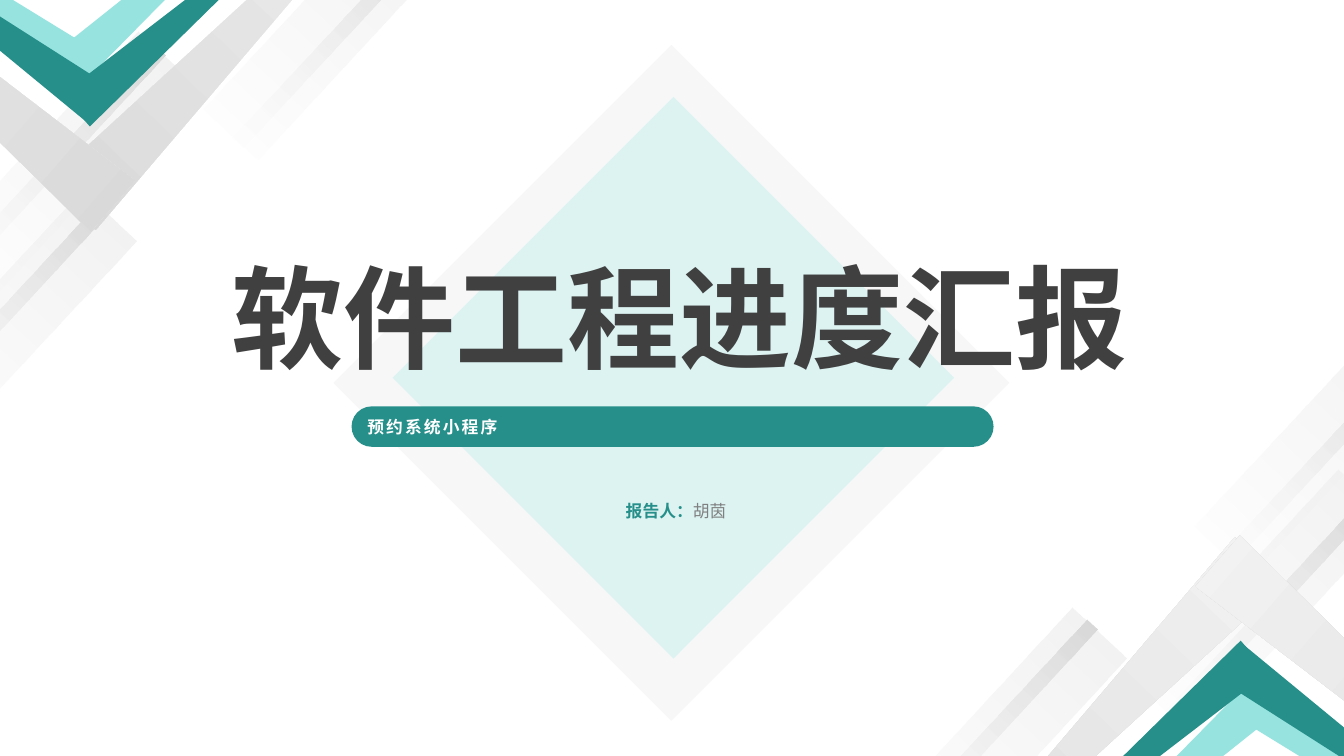
from lxml import etree
from pptx import Presentation
from pptx.dml.color import RGBColor
from pptx.enum.shapes import MSO_SHAPE
from pptx.enum.text import MSO_ANCHOR, PP_ALIGN
from pptx.oxml.ns import qn
from pptx.util import Cm, Pt

RECTANGLE = MSO_SHAPE.RECTANGLE
TRIANGLE = MSO_SHAPE.ISOSCELES_TRIANGLE
PILL = MSO_SHAPE.ROUNDED_RECTANGLE
MIDDLE = MSO_ANCHOR.MIDDLE
CENTER = PP_ALIGN.CENTER
JUSTIFY = PP_ALIGN.JUSTIFY

FONT = "Noto Sans CJK JP"
TEAL, AQUA, MINT = "268F8A", "97E3E0", "CBF1EF"
LIGHT_GREY, MID_GREY = "F2F2F2", "D9D9D9"
WIDTH, HEIGHT = 33.87, 19.05

# Corner decoration: centre x, centre y (cm) from the corner's origin
BAR_LENGTH, BAR_ANGLE = 7.39, 42.8
BARS = [  # wide bar centre, narrow stripe centre
    ((8.33, 0.67), (8.52, 0.88)),
    ((1.65, 4.15), (1.51, 4.0)),
    ((0.23, 8.14), (0.09, 7.96)),
]
CHEVRONS = [  # colour, width, length, two blades as (x, y, angle)
    (AQUA, 1.07, 8.79, [(4.83, -1.07, 48), (-1.47, -0.79, 305)]),
    (TEAL, 1.07, 8.79, [(5.23, -0.1, 49), (-1.07, 0.05, 306)]),
    (None, 1.7, 13.82, [(6.6, 0.23, 44), (-2.37, 0.66, 311)]),
]


def color(value):
    return RGBColor.from_string(value)


def set_alpha(color_element, percent):
    etree.SubElement(color_element, qn("a:alpha"), val=str(percent * 1000))


def fill_solid(shape, value, alpha=100):
    shape.fill.solid()
    shape.fill.fore_color.rgb = color(value)
    if alpha < 100:
        set_alpha(shape.fill._xPr.find(".//" + qn("a:srgbClr")), alpha)


def fill_gradient(shape, start, end, end_alpha=100):
    """Linear fill running from the top of the unrotated shape to its bottom."""
    shape.fill.gradient()
    shape.fill.gradient_angle = 270
    gradient = shape.fill._xPr.find(qn("a:gradFill"))
    gradient.set("rotWithShape", "1")
    for stop, value in zip(shape.fill.gradient_stops, (start, end)):
        stop.color.rgb = color(value)
    shape.fill.gradient_stops[0].position = 0
    shape.fill.gradient_stops[1].position = 1
    if end_alpha < 100:
        set_alpha(gradient.findall(".//" + qn("a:srgbClr"))[-1], end_alpha)


def add_plain_shape(slide, kind, center_x, center_y, width, height, angle=0):
    shape = slide.shapes.add_shape(
        kind, Cm(center_x - width / 2), Cm(center_y - height / 2), Cm(width), Cm(height))
    shape.rotation = angle % 360
    shape.shadow.inherit = False
    shape.line.fill.background()
    return shape


def write_line(text_frame, parts, size, alignment, spacing=None):
    """Fill one paragraph with (text, colour, bold) parts."""
    text_frame.word_wrap = True
    text_frame.vertical_anchor = MIDDLE
    paragraph = text_frame.paragraphs[0]
    paragraph.alignment = alignment
    for text, value, bold in parts:
        run = paragraph.add_run()
        run.text = text
        run.font.size = Pt(size)
        run.font.bold = bold
        run.font.color.rgb = color(value)
        run.font.name = FONT
        properties = run.font._element
        etree.SubElement(properties, qn("a:ea"), typeface=FONT)
        if spacing:
            properties.set("spc", str(spacing))


def add_text(slide, left, top, width, height, parts, size):
    box = slide.shapes.add_textbox(Cm(left), Cm(top), Cm(width), Cm(height))
    box.text_frame.margin_top = box.text_frame.margin_bottom = 0
    write_line(box.text_frame, parts, size, CENTER)


def add_diamonds(slide, center_x, center_y):
    for offset_x, offset_y, side, value in (
            (0, 0, 12.04, LIGHT_GREY), (0.05, -0.13, 10.01, MINT)):
        diamond = add_plain_shape(
            slide, RECTANGLE, center_x + offset_x, center_y + offset_y, side, side, 45)
        fill_solid(diamond, value, 60)


def add_corner(slide, origin_x, origin_y, turned=False):
    """Draw bars and chevrons; a turned corner is rotated by half a turn."""
    sign = -1 if turned else 1

    def place(kind, x, y, width, height, angle):
        return add_plain_shape(
            slide, kind, origin_x + sign * x, origin_y + sign * y, width, height, angle)

    # Fading bars always fade towards the lower left
    for bar_center, stripe_center in BARS:
        bar = place(RECTANGLE, *bar_center, 1.88, BAR_LENGTH, BAR_ANGLE)
        fill_gradient(bar, LIGHT_GREY, LIGHT_GREY, 0)
        stripe = place(RECTANGLE, *stripe_center, 0.38, BAR_LENGTH, BAR_ANGLE)
        fill_gradient(stripe, MID_GREY, LIGHT_GREY, 0)

    # Chevrons; the grey one darkens downwards in both corners
    greys = (MID_GREY, LIGHT_GREY) if turned else (LIGHT_GREY, MID_GREY)
    for value, width, length, blades in CHEVRONS:
        for x, y, angle in blades:
            blade = place(TRIANGLE, x, y, width, length, angle + 180 * turned)
            if value:
                fill_solid(blade, value)
            else:
                fill_gradient(blade, *greys)


def add_subtitle_pill(slide, left, top, width, height):
    pill = add_plain_shape(
        slide, PILL, left + width / 2, top + height / 2, width, height)
    pill.adjustments[0] = 0.5
    fill_solid(pill, TEAL)
    pill.text_frame.margin_top = Cm(0.15)
    pill.text_frame.margin_bottom = Cm(0.13)
    write_line(pill.text_frame, [("预约系统小程序", "FFFFFF", True)], 12, JUSTIFY, 150)


def add_cover(presentation):
    slide = presentation.slides.add_slide(presentation.slide_layouts[6])
    add_diamonds(slide, 16.92, 9.65)
    add_text(slide, 14.17, 12.5, 5.74, 0.76,
             [("报告人：", TEAL, True), ("胡茵", "808080", False)], 12)
    add_text(slide, 5.13, 6.12, 23.98, 3.68,
             [("软件工程进度汇报", "404040", True)], 80)
    add_subtitle_pill(slide, 8.86, 10.24, 16.18, 1.02)
    add_corner(slide, 0, 0)
    add_corner(slide, WIDTH - 0.34, HEIGHT + 0.28, turned=True)


def main():
    presentation = Presentation()
    presentation.slide_width = Cm(WIDTH)
    presentation.slide_height = Cm(HEIGHT)
    add_cover(presentation)
    presentation.save("out.pptx")


if __name__ == "__main__":
    main()
